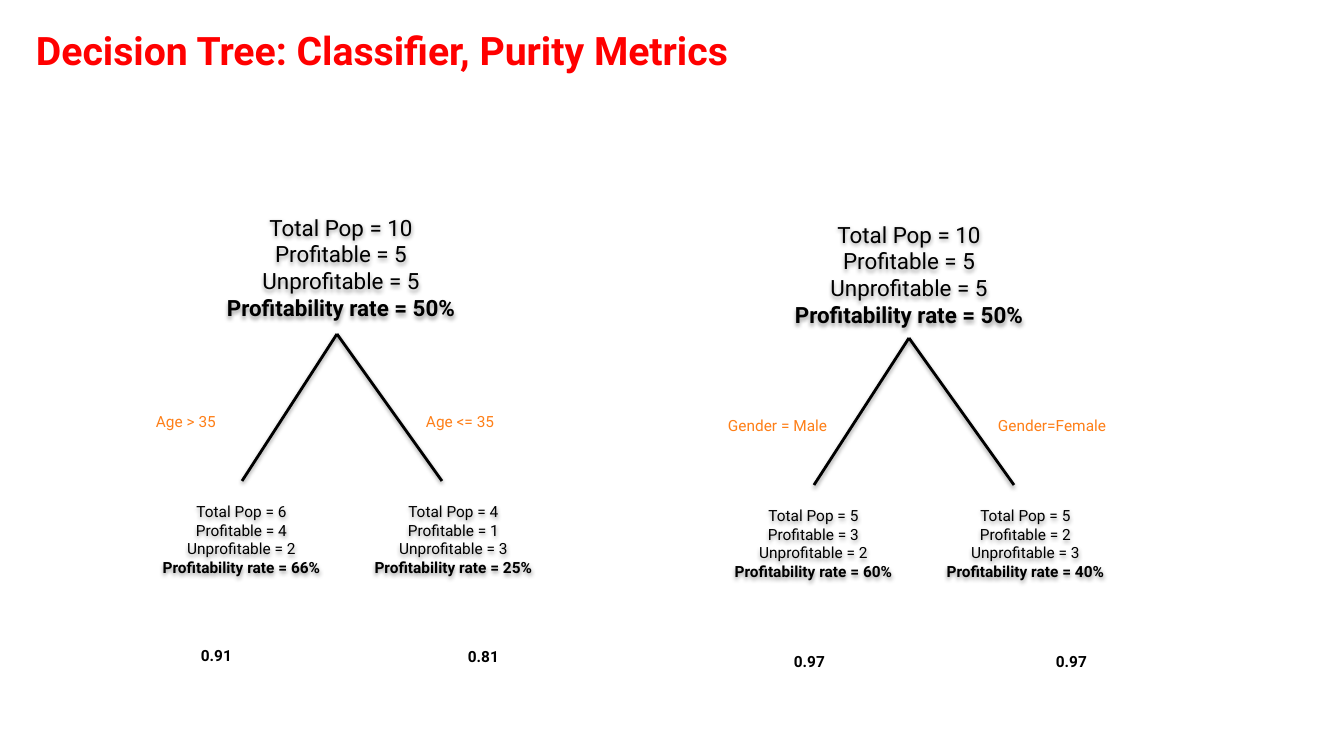
from dataclasses import dataclass

from lxml import etree
from pptx import Presentation
from pptx.dml.color import RGBColor
from pptx.enum.shapes import MSO_CONNECTOR
from pptx.enum.text import MSO_ANCHOR, PP_ALIGN
from pptx.oxml.ns import qn
from pptx.util import Emu, Pt

EMU_PER_PX = 914400 / 100.8
FONT = "Roboto"
RED = RGBColor(0xFF, 0x00, 0x00)
ORANGE = RGBColor(0xFE, 0x7F, 0x18)
BLACK = RGBColor(0x00, 0x00, 0x00)


@dataclass(frozen=True)
class Area:
    left: int
    top: int
    width: int
    height: int


@dataclass(frozen=True)
class Style:
    size: int
    color: RGBColor = BLACK
    bold: bool = False
    align: PP_ALIGN = PP_ALIGN.LEFT
    anchor: MSO_ANCHOR = MSO_ANCHOR.TOP


@dataclass(frozen=True)
class Population:
    profitable: int
    unprofitable: int
    rate: int


@dataclass(frozen=True)
class Branch:
    condition: str
    leaf: Population
    score: str
    score_left: int
    score_top: int


@dataclass(frozen=True)
class Tree:
    apex_x: int
    apex_y: int
    root_left: int
    root_top: int
    branches: tuple[Branch, Branch]


@dataclass(frozen=True)
class Side:
    """Horizontal offsets from the apex, and widths, for one side of a tree."""
    foot: int
    label: int
    label_width: int
    leaf: int
    leaf_width: int


TITLE = Style(28, RED, bold=True, anchor=MSO_ANCHOR.MIDDLE)
CONDITION = Style(11, ORANGE)
SCORE = Style(11, bold=True)
ROOT = Style(16, align=PP_ALIGN.CENTER, anchor=MSO_ANCHOR.MIDDLE)
LEAF = Style(11, align=PP_ALIGN.CENTER, anchor=MSO_ANCHOR.MIDDLE)

SIDES = (Side(-95, -191, 123, -191, 191), Side(105, 79, 139, 23, 187))
ROOT_POPULATION = Population(5, 5, 50)
BRANCH_HEIGHT = 147
LABEL_DROP = 73
LABEL_HEIGHT = 29

TREES = (
    Tree(909, 338, 750, 211, (
        Branch("Gender = Male", Population(3, 2, 60), "0.97", 784, 647),
        Branch("Gender=Female", Population(2, 3, 40), "0.97", 1046, 647),
    )),
    Tree(337, 334, 182, 204, (
        Branch("Age > 35", Population(4, 2, 66), "0.91", 191, 641),
        Branch("Age <= 35", Population(1, 3, 25), "0.81", 458, 642),
    )),
)


def px(length: int) -> Emu:
    return Emu(round(length * EMU_PER_PX))


def add_soft_shadow(shape) -> None:
    effects = etree.SubElement(shape._element.spPr, qn("a:effectLst"))
    shadow = etree.SubElement(effects, qn("a:outerShdw"), blurRad="40000",
                              dist="20000", dir="5400000", rotWithShape="0")
    color = etree.SubElement(shadow, qn("a:srgbClr"), val=str(BLACK))
    etree.SubElement(color, qn("a:alpha"), val="38000")


def add_text(page, area: Area, text: str, style: Style):
    box = page.shapes.add_textbox(
        px(area.left), px(area.top), px(area.width), px(area.height))
    frame = box.text_frame
    frame.word_wrap = True
    frame.vertical_anchor = style.anchor
    frame.text = text
    for paragraph in frame.paragraphs:
        paragraph.alignment = style.align
        for span in paragraph.runs:
            span.font.name = FONT
            span.font.size = Pt(style.size)
            span.font.bold = style.bold
            span.font.color.rgb = style.color
    return box


def add_population(page, area: Area, population: Population, style: Style) -> None:
    """Write the counts of a node, with the rate in bold on the last line."""
    total = population.profitable + population.unprofitable
    lines = (
        f"Total Pop = {total}",
        f"Profitable = {population.profitable}",
        f"Unprofitable = {population.unprofitable}",
        f"Profitability rate = {population.rate}%",
    )
    box = add_text(page, area, "\n".join(lines), style)
    box.text_frame.paragraphs[-1].runs[0].font.bold = True
    add_soft_shadow(box)


def add_branch(page, tree: Tree, branch: Branch, side: Side) -> None:
    foot_y = tree.apex_y + BRANCH_HEIGHT
    line = page.shapes.add_connector(
        MSO_CONNECTOR.STRAIGHT, px(tree.apex_x), px(tree.apex_y),
        px(tree.apex_x + side.foot), px(foot_y))
    line.line.color.rgb = BLACK
    line.line.width = Pt(2)
    add_soft_shadow(line)

    label_area = Area(tree.apex_x + side.label, tree.apex_y + LABEL_DROP,
                      side.label_width, LABEL_HEIGHT)
    add_text(page, label_area, branch.condition, CONDITION)
    leaf_area = Area(tree.apex_x + side.leaf, foot_y, side.leaf_width, 117)
    add_population(page, leaf_area, branch.leaf, LEAF)
    score_area = Area(branch.score_left, branch.score_top, 65, LABEL_HEIGHT)
    add_text(page, score_area, branch.score, SCORE)


def add_tree(page, tree: Tree) -> None:
    for branch, side in zip(tree.branches, SIDES):
        add_branch(page, tree, branch, side)
    root_area = Area(tree.root_left, tree.root_top, 318, 127)
    add_population(page, root_area, ROOT_POPULATION, ROOT)


def main() -> None:
    deck = Presentation()
    deck.slide_width, deck.slide_height = px(1344), px(756)
    page = deck.slides.add_slide(deck.slide_layouts[6])
    add_text(page, Area(26, 18, 1234, 63),
             "Decision Tree: Classifier, Purity Metrics", TITLE)
    for tree in TREES:
        add_tree(page, tree)
    deck.save("out.pptx")


if __name__ == "__main__":
    main()
